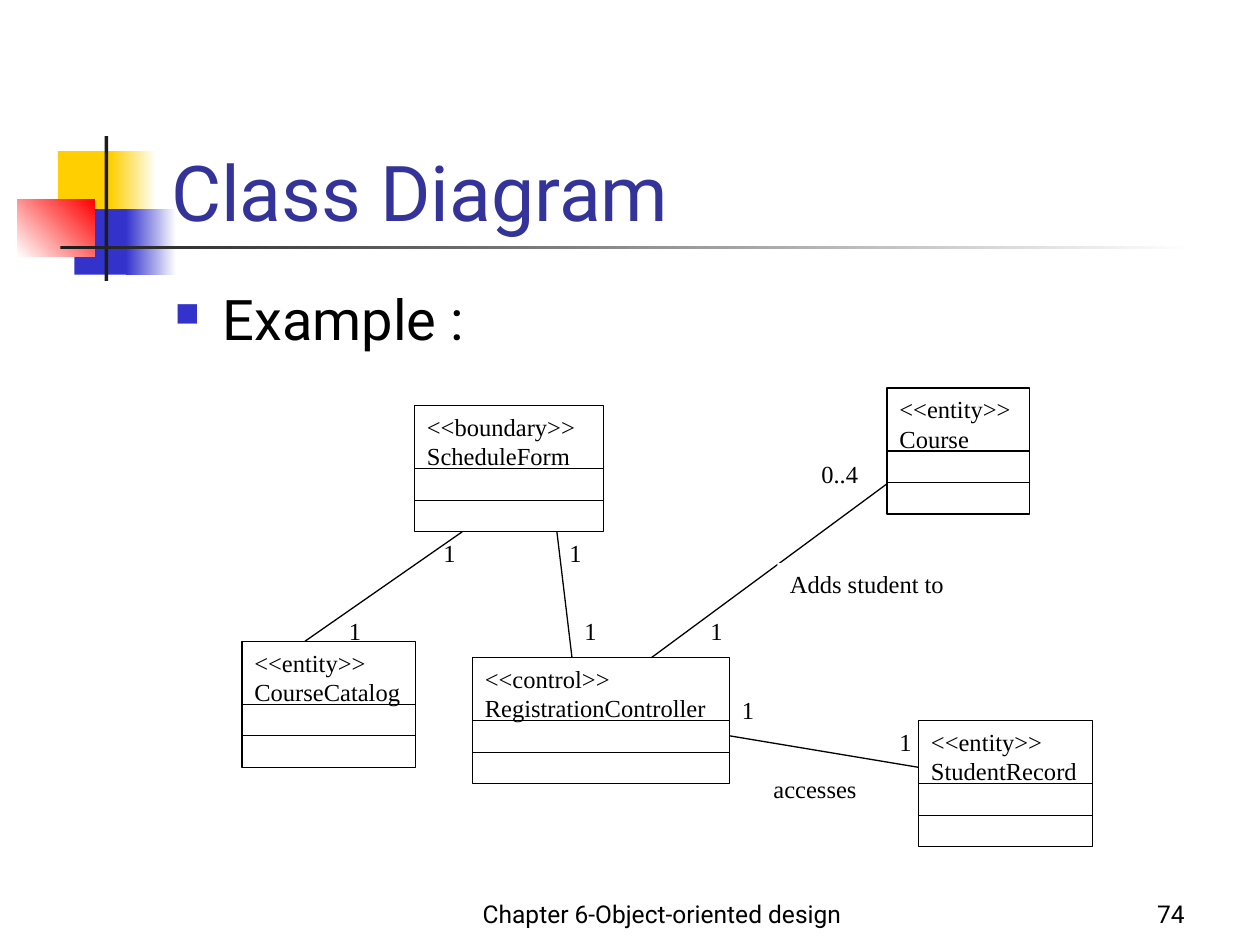
from dataclasses import dataclass

from lxml.etree import SubElement
from pptx import Presentation
from pptx.dml.color import RGBColor
from pptx.enum.shapes import MSO_CONNECTOR, MSO_SHAPE
from pptx.enum.text import MSO_ANCHOR, PP_ALIGN
from pptx.oxml.ns import qn
from pptx.util import Inches, Pt


@dataclass(frozen=True)
class Theme:
    black: str = "000000"
    white: str = "FFFFFF"
    dark: str = "1C1C1C"
    gold: str = "FFCF01"
    blue: str = "3333CC"
    red: str = "FF0000"
    navy: str = "333399"
    sans: str = "Roboto"
    serif: str = "Times New Roman"
    head: int = 44
    body: int = 32
    small: int = 14
    thin: float = 0.75


def color(code):
    return RGBColor.from_string(code)


def write(frame, text, *, font, size, ink, align=PP_ALIGN.LEFT,
          anchor=MSO_ANCHOR.TOP, bullet=None):
    """Fill a text frame, one paragraph for each line of text."""
    frame.word_wrap = True
    frame.vertical_anchor = anchor
    for i, line in enumerate(text.split("\n")):
        para = frame.add_paragraph() if i else frame.paragraphs[0]
        if bullet:
            props = para._p.get_or_add_pPr()
            props.set("marL", str(Inches(0.38)))
            props.set("indent", str(-Inches(0.38)))
            tint = SubElement(props, qn("a:buClr"))
            SubElement(tint, qn("a:srgbClr"), val=bullet)
            SubElement(props, qn("a:buSzPct"), val="60000")
            SubElement(props, qn("a:buChar"), char="■")
        para.alignment = align
        run = para.add_run()
        run.text = line
        run.font.name = font
        run.font.size = Pt(size)
        run.font.color.rgb = color(ink)


class Painter:
    def __init__(self, slide, theme):
        self.slide = slide
        self.theme = theme

    def text(self, spot, words, **form):
        box = self.slide.shapes.add_textbox(*map(Inches, spot))
        write(box.text_frame, words, **form)

    def rect(self, spot, fill, fade=None, angle=0, edge=None):
        shape = self.slide.shapes.add_shape(
            MSO_SHAPE.RECTANGLE, *map(Inches, spot))
        shape.shadow.inherit = False
        if fade:
            shape.fill.gradient()
            shape.fill.gradient_angle = angle
            for stop, code in zip(shape.fill.gradient_stops, (fill, fade)):
                stop.color.rgb = color(code)
        else:
            shape.fill.solid()
            shape.fill.fore_color.rgb = color(fill)
        if edge:
            shape.line.color.rgb = color(edge)
            shape.line.width = Pt(self.theme.thin)
        else:
            shape.line.fill.background()
        return shape

    def line(self, *ends):
        link = self.slide.shapes.add_connector(
            MSO_CONNECTOR.STRAIGHT, *map(Inches, ends))
        link.line.color.rgb = color(self.theme.black)
        link.line.width = Pt(self.theme.thin)
        SubElement(link._element.spPr, qn("a:effectLst"))

    def label(self, x, y, words, width=0.33, height=0.38, edge=None):
        look = self.theme
        shape = self.rect((x, y, width, height), look.white, edge=edge)
        write(shape.text_frame, words, font=look.serif, size=look.small,
              ink=look.black)

    def entity(self, x, y, width, kind, name):
        self.label(x, y, f"<<{kind}>>\n{name}", width, 1, self.theme.black)
        for drop in (0.5, 0.75):
            self.line(x, y + drop, x + width, y + drop)


def main():
    deck = Presentation()
    deck.slide_width, deck.slide_height = Inches(10), Inches(7.5)
    look = Theme()
    pen = Painter(deck.slides.add_slide(deck.slide_layouts[6]), look)

    # Corner blocks and rules
    pen.rect((0.46, 1.2, 0.48, 0.52), look.gold)
    pen.rect((0.88, 1.2, 0.36, 0.52), look.gold, look.white)
    pen.rect((0.59, 1.66, 0.46, 0.52), look.blue)
    pen.rect((1, 1.66, 0.4, 0.52), look.blue, look.white)
    pen.rect((0.14, 1.58, 0.61, 0.46), look.white, look.red, angle=45)
    pen.rect((0.83, 1.08, 0.03, 1.15), look.dark)
    pen.rect((0.48, 1.95, 9, 0.03), look.dark, look.white)

    # Footer, title and body
    foot = dict(font=look.sans, size=look.small, ink=look.black,
                anchor=MSO_ANCHOR.BOTTOM)
    pen.text((3.67, 6.92, 3.17, 0.5), "Chapter 6-Object-oriented design",
             align=PP_ALIGN.CENTER, **foot)
    pen.text((7.42, 6.92, 2.08, 0.5), "74", align=PP_ALIGN.RIGHT, **foot)
    pen.text((1.26, 0.68, 8.52, 1.25), "Class Diagram", font=look.sans,
             size=look.head, ink=look.navy, anchor=MSO_ANCHOR.BOTTOM)
    pen.text((1.29, 2.21, 8.5, 4.5), "Example :", font=look.sans,
             size=look.body, ink=look.black, bullet=look.blue)

    # Counts at the line ends
    for x, y in ((7.04, 5.72), (5.79, 5.47), (4.54, 4.84), (4.42, 4.22),
                 (2.67, 4.84), (3.42, 4.22), (5.54, 4.84)):
        pen.label(x, y, "1")
    pen.label(6.42, 3.59, "0..4", 0.58)

    # Classes
    for item in ((3.29, 3.22, 1.5, "boundary", "ScheduleForm"),
                 (1.92, 5.09, 1.38, "entity", "CourseCatalog"),
                 (7.29, 5.72, 1.38, "entity", "StudentRecord"),
                 (7.04, 3.08, 1.13, "entity", "Course"),
                 (3.75, 5.22, 2.04, "control", "RegistrationController")):
        pen.entity(*item)

    # Links between classes
    for ends in ((3.67, 4.22, 2.42, 5.09), (4.42, 4.22, 4.54, 5.22),
                 (5.17, 5.22, 7.04, 3.84), (5.79, 5.84, 7.29, 6.09)):
        pen.line(*ends)

    # Link names
    pen.label(6.17, 4.47, "Adds student to", 1.62)
    pen.label(6.04, 6.09, "accesses", 0.88)

    deck.save("out.pptx")


if __name__ == "__main__":
    main()
